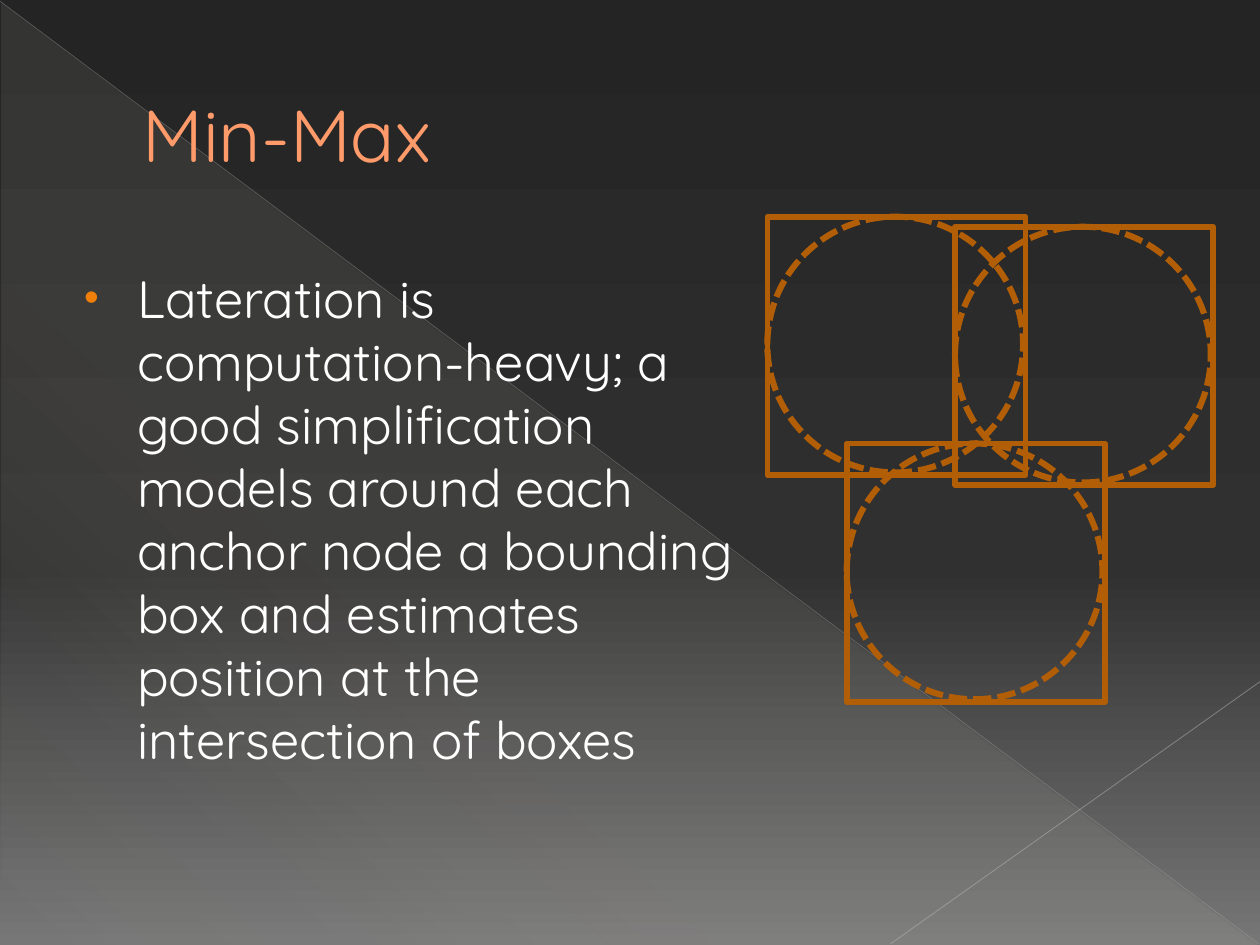
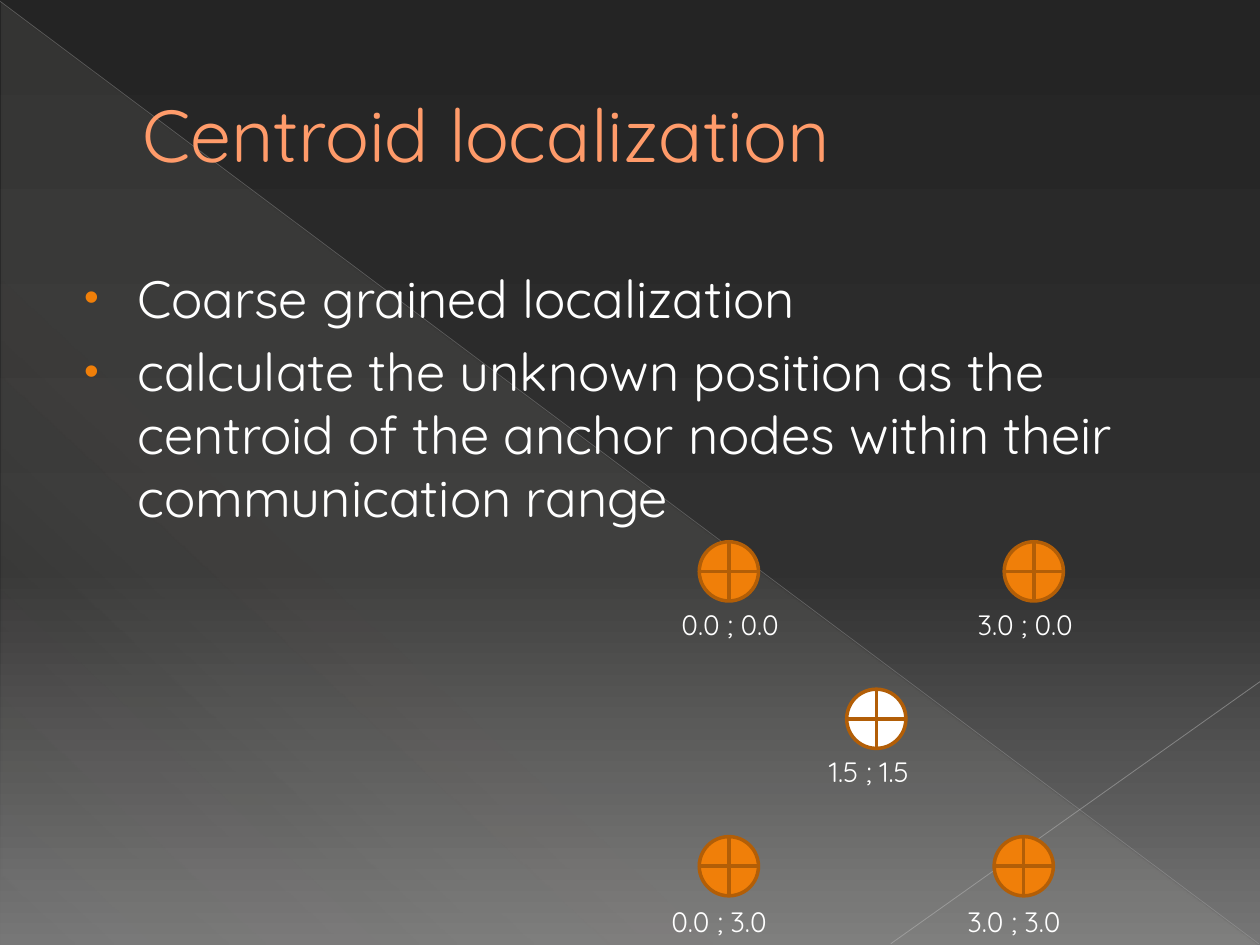
from lxml import etree
from pptx import Presentation
from pptx.dml.color import RGBColor
from pptx.enum.dml import MSO_LINE
from pptx.enum.shapes import MSO_CONNECTOR, MSO_SHAPE
from pptx.enum.text import MSO_ANCHOR, MSO_AUTO_SIZE, PP_ALIGN
from pptx.oxml.ns import qn
from pptx.util import Inches, Pt

STRAIGHT = MSO_CONNECTOR.STRAIGHT
TRIANGLE = MSO_SHAPE.RIGHT_TRIANGLE
CIRCLE, BOX, NODE = MSO_SHAPE.OVAL, MSO_SHAPE.RECTANGLE, MSO_SHAPE.FLOWCHART_OR
DASHED, SOLID = MSO_LINE.SQUARE_DOT, MSO_LINE.SOLID
LEFT, MIDDLE, TOP = PP_ALIGN.LEFT, MSO_ANCHOR.MIDDLE, MSO_ANCHOR.TOP
NO_FIT, GROW = MSO_AUTO_SIZE.NONE, MSO_AUTO_SIZE.SHAPE_TO_FIT_TEXT


class Theme:
    font = "Quicksand"
    title_size, body_size, label_size = 42, 30, 16
    title, title_edge = "FF9B6A", "A65806"
    text, accent, outline = "FFFFFF", "F07F09", "B25E07"
    backdrop = [(0, "242424", 100), (60, "303030", 100), (100, "767676", 100)]
    sheen = [(0, "E3DED1", 10), (70, "E3DED1", 8), (100, "E3DED1", 1)]


def set_gradient(element, stops, angle):
    """Replace the stops of the gradient fill in element: position, colour, opacity."""
    grad = element.find(".//" + qn("a:gradFill"))
    for child in list(grad):
        grad.remove(child)
    stop_list = etree.SubElement(grad, qn("a:gsLst"))
    for position, color, opacity in stops:
        stop = etree.SubElement(stop_list, qn("a:gs"), pos=str(position * 1000))
        clr = etree.SubElement(stop, qn("a:srgbClr"), val=color)
        etree.SubElement(clr, qn("a:alpha"), val=str(opacity * 1000))
    etree.SubElement(grad, qn("a:lin"), ang=str(angle * 60000), scaled="0")


def write(tf, text, size, color=Theme.text, anchor=TOP, wrap=True, fit=NO_FIT,
          margin=0, indent=0, before=0, bullet=None, edge=None):
    """Write text into tf, one paragraph per line of text."""
    tf.word_wrap, tf.auto_size, tf.vertical_anchor = wrap, fit, anchor
    for i, line in enumerate(text.split("\n")):
        p = tf.add_paragraph() if i else tf.paragraphs[0]
        p.alignment, p.space_before = LEFT, Pt(before)
        pPr = p._p.get_or_add_pPr()
        pPr.set("marL", str(Inches(margin)))
        pPr.set("indent", str(Inches(indent)))
        if bullet:
            bu_color = etree.SubElement(pPr, qn("a:buClr"))
            etree.SubElement(bu_color, qn("a:srgbClr"), val=Theme.accent)
            etree.SubElement(pPr, qn("a:buSzPct"), val="80000")
            etree.SubElement(pPr, qn("a:buFont"), typeface="Arial")
            etree.SubElement(pPr, qn("a:buChar"), char=bullet)
        r = p.add_run()
        r.text = line
        r.font.name, r.font.size = Theme.font, Pt(size)
        r.font.color.rgb = RGBColor.from_string(color)
        if edge:
            ln = etree.Element(qn("a:ln"), w=str(Pt(0.5)))
            fill = etree.SubElement(ln, qn("a:solidFill"))
            etree.SubElement(fill, qn("a:srgbClr"), val=edge)
            r.font._element.insert(0, ln)


prs = Presentation()
prs.slide_width, prs.slide_height = Inches(10), Inches(7.5)
layout = prs.slide_layouts[5]

# Shared background
prs.slide_master.background.fill.gradient()
set_gradient(prs.slide_master.element, Theme.backdrop, 90)

# Titles and bullet text
contents = [
    ("Min-Max", 5.44,
     "Lateration is computation-heavy; a good simplification models around each "
     "anchor node a bounding box and estimates position at the intersection of boxes"),
    ("Centroid localization", 9,
     "Coarse grained localization\n"
     "calculate the unknown position as the centroid of the anchor nodes within "
     "their communication range"),
]
slides = []
for heading, body_width, body in contents:
    s = prs.slides.add_slide(layout)
    slides.append(s)
    title = s.shapes.title
    title.left, title.top = Inches(0.5), Inches(0.29)
    title.width, title.height = Inches(9), Inches(1.53)
    write(title.text_frame, heading, Theme.title_size, color=Theme.title,
          anchor=MIDDLE, margin=0.53, edge=Theme.title_edge)
    sp = s.shapes.add_textbox(Inches(0.5), Inches(2.06), Inches(body_width), Inches(5))
    write(sp.text_frame, body, Theme.body_size, margin=0.49, indent=-0.42,
          before=6, bullet="•")
min_max, centroid = slides

# Shared decoration: drawn once, then moved to the layout
sp = min_max.shapes.add_shape(TRIANGLE, Inches(0.01), Inches(0.02), Inches(9.98), Inches(7.48))
sp.shadow.inherit = False
sp.line.fill.background()
sp.fill.gradient()
set_gradient(sp.element, Theme.sheen, 133)
decoration = [sp]
for x1, y1, x2, y2, color, width, opacity in [
    (0, 0.01, 9.99, 7.49, "B6B6B6", 0.39, 35),
    (10, 5.41, 7.07, 7.49, "BFBFBF", 0.47, 45),
]:
    line = min_max.shapes.add_connector(STRAIGHT, Inches(x1), Inches(y1), Inches(x2), Inches(y2))
    line.line.width = Pt(width)
    line.line.color.rgb = RGBColor.from_string(color)
    clr = line.element.find(".//" + qn("a:ln")).find(".//" + qn("a:srgbClr"))
    etree.SubElement(clr, qn("a:alpha"), val=str(opacity * 1000))
    etree.SubElement(line.element.spPr, qn("a:effectLst"))
    decoration.append(line)
for number, sp in enumerate(decoration, start=101):
    sp.element.find(".//" + qn("p:cNvPr")).set("id", str(number))
    layout.shapes.element.append(sp.element)

# Min-Max: range circles and their bounding boxes
anchors = [(6.09, 1.72), (7.58, 1.8), (6.72, 3.52)]
for kind, size, width, dash in [(CIRCLE, 2.03, 3.5, DASHED), (BOX, 2.05, 3.25, SOLID)]:
    for x, y in anchors:
        sp = min_max.shapes.add_shape(kind, Inches(x), Inches(y), Inches(size), Inches(size))
        sp.shadow.inherit = False
        sp.fill.background()
        sp.line.color.rgb = RGBColor.from_string(Theme.outline)
        sp.line.width, sp.line.dash_style = Pt(width), dash

# Centroid: four anchor nodes and the estimated position
nodes = [
    (7.97, 4.3, 7.66, 4.77, "3.0 ; 0.0", Theme.accent),
    (5.55, 4.3, 5.31, 4.77, "0.0 ; 0.0", Theme.accent),
    (7.89, 6.64, 7.58, 7.13, "3.0 ; 3.0", Theme.accent),
    (5.55, 6.64, 5.23, 7.13, "0.0 ; 3.0", Theme.accent),
    (6.72, 5.47, 6.48, 5.94, "1.5 ; 1.5", Theme.text),
]
for x, y, label_x, label_y, label, color in nodes:
    sp = centroid.shapes.add_shape(NODE, Inches(x), Inches(y), Inches(0.47), Inches(0.47))
    sp.shadow.inherit = False
    sp.fill.solid()
    sp.fill.fore_color.rgb = RGBColor.from_string(color)
    sp.line.color.rgb = RGBColor.from_string(Theme.outline)
    sp.line.width = Pt(2)
    sp = centroid.shapes.add_textbox(Inches(label_x), Inches(label_y), Inches(1.01), Inches(0.37))
    write(sp.text_frame, label, Theme.label_size, wrap=False, fit=GROW)

prs.save("out.pptx")
